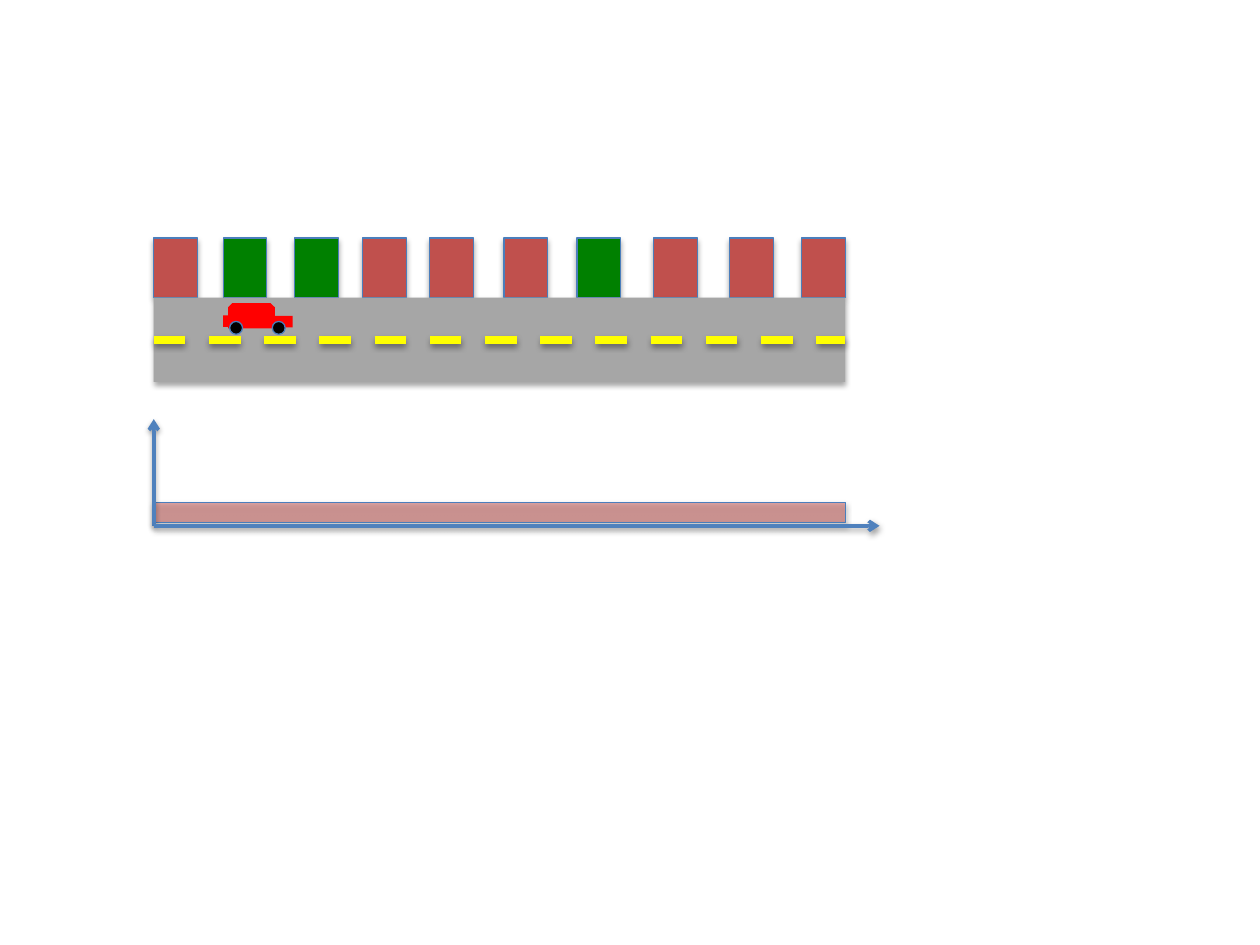
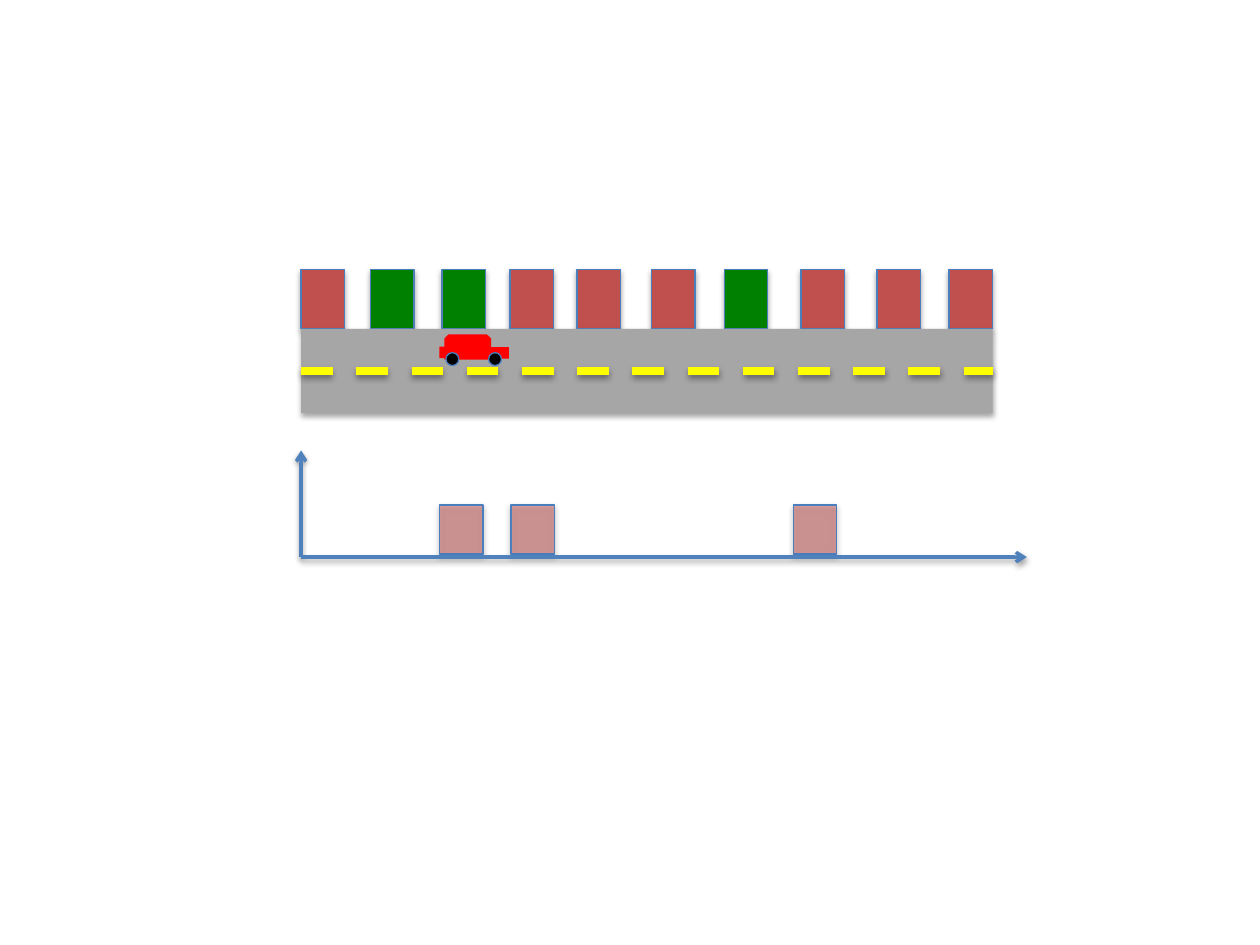
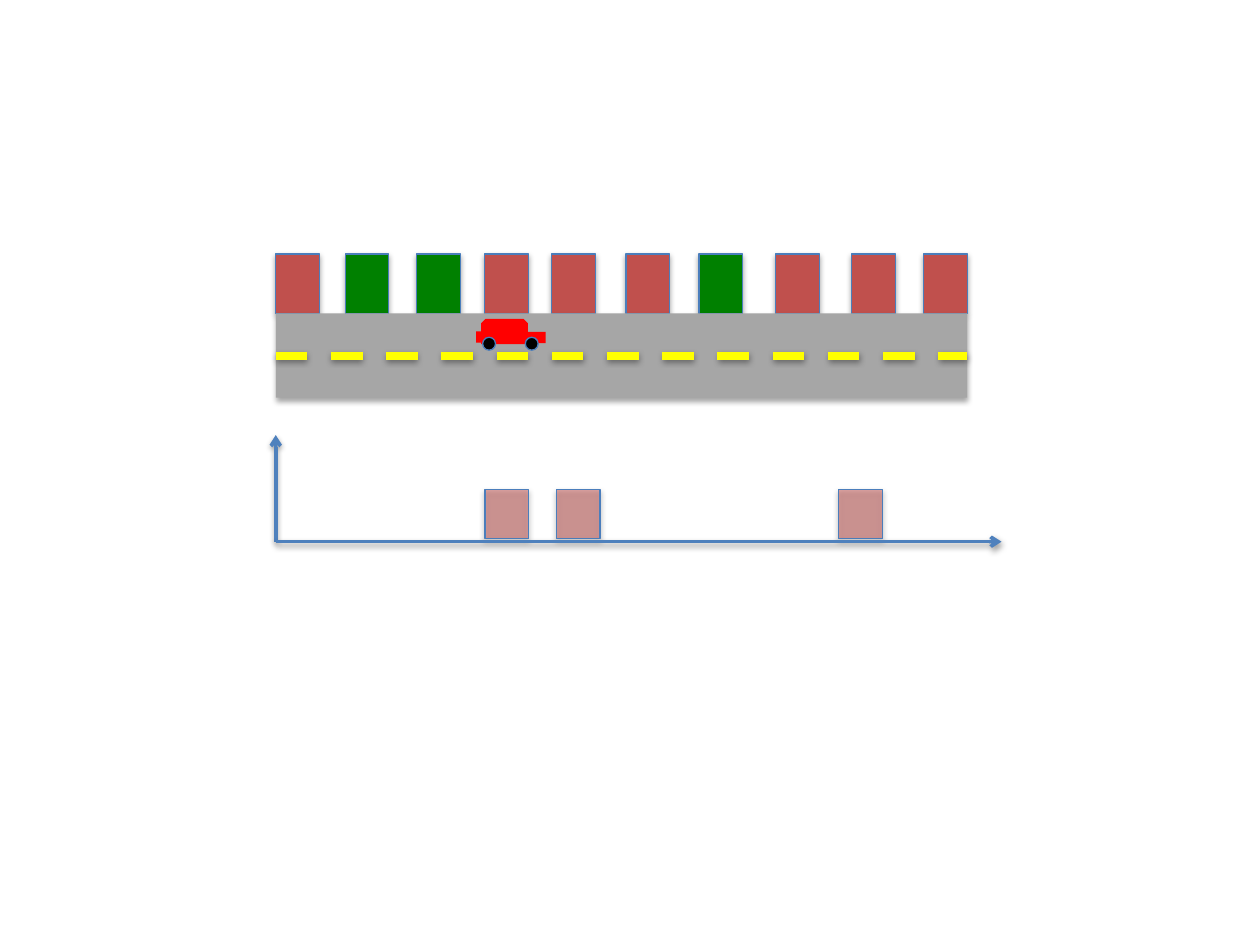
from lxml import etree
from pptx import Presentation
from pptx.dml.color import RGBColor
from pptx.enum.dml import MSO_LINE
from pptx.enum.shapes import MSO_CONNECTOR, MSO_SHAPE
from pptx.oxml.ns import qn
from pptx.util import Cm, Pt

RECT, OVAL = MSO_SHAPE.RECTANGLE, MSO_SHAPE.OVAL
CABIN = MSO_SHAPE.SNIP_2_SAME_RECTANGLE
LINE, DASH = MSO_CONNECTOR.STRAIGHT, MSO_LINE.DASH

# Shared colours
BRICK, GREEN, GRAY, YELLOW = "C0504D", "008000", "A6A6A6", "FFFF00"
RED, BLACK, EDGE, BLUE = "FF0000", "000000", "4B7EBC", "4F81BD"

# Shared scene sizes, in cm from the scene's top left corner
DOORS = [0, 1.4, 2.84, 4.21, 5.56, 7.06, 8.53, 10.08, 11.61, 13.06]
OPEN = [1, 2, 6]                  # indices of the green doors
DOOR_W, DOOR_H = 0.88, 1.2
ROAD_W, ROAD_H = 13.94, 1.7
LANE_Y, CAR_Y = 2.05, 1.31
AXIS_Y, AXIS_W, AXIS_H = 5.8, 14.63, 2.15
BASE_Y = 5.74                     # foot of the belief bars
FLAT_H, PEAK_H = 0.41, 0.99

# One slide each: scene left, scene top, car left, shift of the peaks
# (None means one flat bar along the whole road)
SCENES = [
    (3.1, 4.8, 1.4, None),
    (6.07, 5.43, 2.79, 1.39),
    (5.56, 5.12, 4.04, 2.82),
]


def tint(code):
    return RGBColor.from_string(code)


def sub(node, tag, **attrs):
    return etree.SubElement(node, qn(tag), attrs)


def shade(item, alpha=None, dist="23000"):
    """Give the item a soft shadow below, or none without alpha."""
    fx = sub(item.element.spPr, "a:effectLst")
    if alpha:
        drop = sub(fx, "a:outerShdw", blurRad="40000", dist=dist,
                   dir="5400000", rotWithShape="0")
        ink = sub(drop, "a:srgbClr", val=BLACK)
        sub(ink, "a:alpha", val=str(alpha * 1000))


def block(parts, kind, x, y, w, h, fill, edge=None, alpha=35, clear=False):
    item = parts.add_shape(kind, Cm(x), Cm(y), Cm(w), Cm(h))
    item.fill.solid()
    item.fill.fore_color.rgb = tint(fill)
    if clear:
        ink = item.element.spPr.find(".//" + qn("a:srgbClr"))
        sub(ink, "a:alpha", val="50000")
    if edge:
        item.line.color.rgb = tint(edge)
        item.line.width = Pt(0.75)
    else:
        item.line.fill.background()
    shade(item, alpha)


def stroke(parts, x, y, dx, dy, color, width, dash=None, arrow=False):
    item = parts.add_connector(LINE, Cm(x), Cm(y), Cm(x + dx), Cm(y + dy))
    item.line.color.rgb = tint(color)
    item.line.width = Pt(width)
    if dash:
        item.line.dash_style = dash
    if arrow:
        sub(item.element.spPr.find(qn("a:ln")), "a:tailEnd", type="arrow")
    shade(item, 38, "20000")


def graph(parts, x, y, shift):
    # Belief bars
    if shift is None:
        bars = [(0, ROAD_W, FLAT_H)]
    else:
        bars = [(DOORS[i] + shift, DOOR_W, PEAK_H) for i in OPEN]
    for left, w, h in bars:
        block(parts, RECT, x + left, y + BASE_Y - h, w, h, BRICK, EDGE,
              clear=True)
    # Axes
    for dx, dy in [(0, -AXIS_H), (AXIS_W, 0)]:
        stroke(parts, x, y + AXIS_Y, dx, dy, BLUE, 2, arrow=True)


def street(parts, x, y):
    for i, left in enumerate(DOORS):
        block(parts, RECT, x + left, y, DOOR_W, DOOR_H,
              GREEN if i in OPEN else BRICK, EDGE)
    block(parts, RECT, x, y + DOOR_H, ROAD_W, ROAD_H, GRAY)


def car(parts, x, y):
    # Cabin, hood and rear
    for kind, dx, dy, w, h in [(CABIN, 0.1, 0, 0.94, 0.51),
                               (RECT, 0.61, 0.26, 0.79, 0.23),
                               (RECT, 0, 0.25, 0.79, 0.23)]:
        block(parts, kind, x + dx, y + dy, w, h, RED, alpha=None)
    # Wheels
    for dx in (0.13, 0.99):
        block(parts, OVAL, x + dx, y + 0.37, 0.26, 0.26, BLACK, EDGE, None)


def scene(slide, x, y, drive, shift):
    parts = slide.shapes
    graph(parts.add_group_shape().shapes, x, y, shift)
    street(parts.add_group_shape().shapes, x, y)
    stroke(parts, x, y + LANE_Y, ROAD_W, 0, YELLOW, 4.5, dash=DASH)
    car(parts.add_group_shape().shapes, x + drive, y + CAR_Y)


deck = Presentation()
deck.slide_width, deck.slide_height = Cm(25.4), Cm(19.05)
for spot in SCENES:
    scene(deck.slides.add_slide(deck.slide_layouts[6]), *spot)
deck.save("out.pptx")
